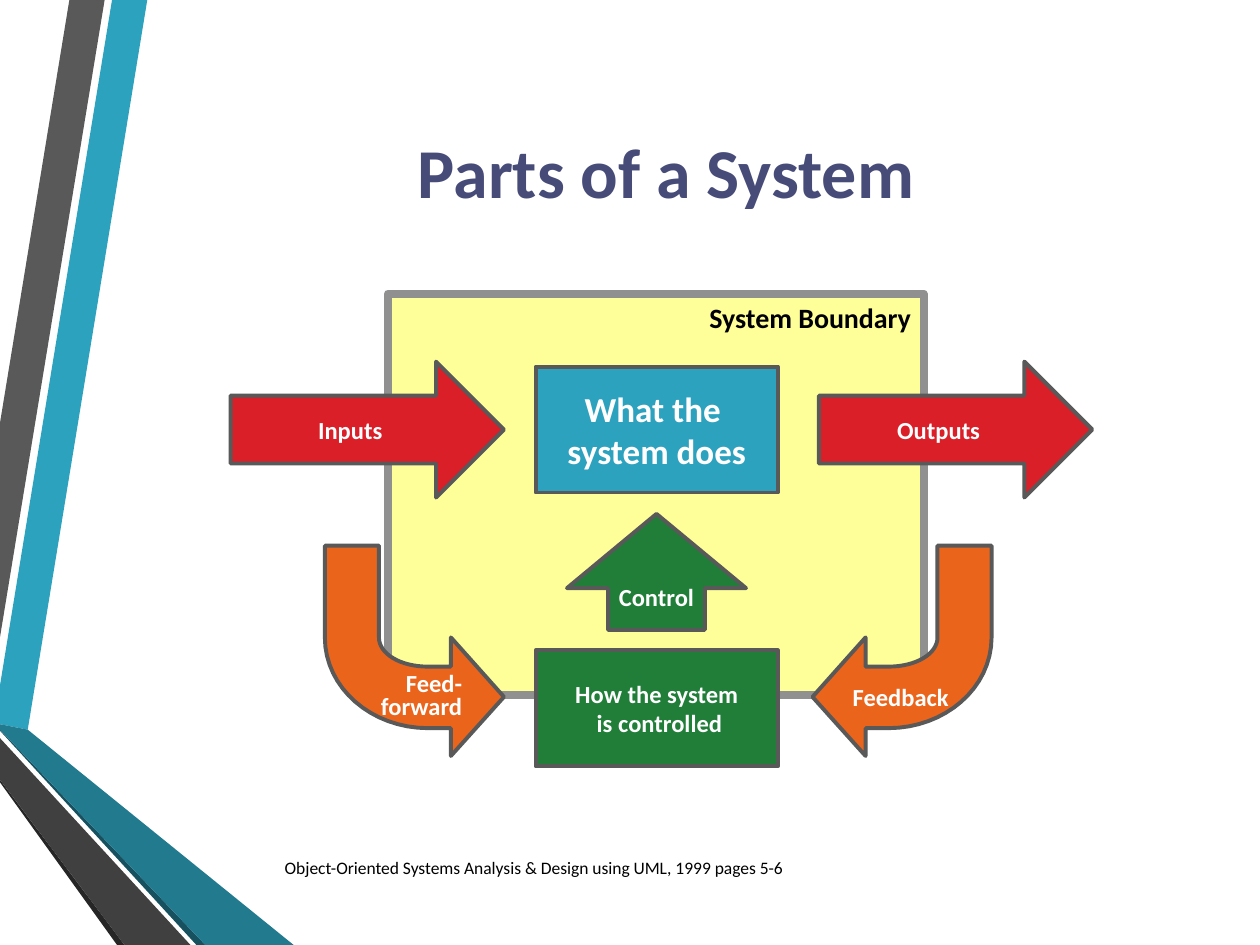
import pptx
import pptx.util
import pptx.dml.color
import pptx.enum.shapes
import pptx.enum.text

Cm = pptx.util.Cm
Pt = pptx.util.Pt
SHAPE = pptx.enum.shapes.MSO_SHAPE
ALIGN = pptx.enum.text.PP_ALIGN
ANCHOR = pptx.enum.text.MSO_ANCHOR

COLOURS = {
    "teal": "2DA2BF", "mid teal": "227A8F", "dark teal": "175160",
    "grey": "595959", "charcoal": "404040", "dark grey": "262626",
    "yellow": "FFFF99", "border": "909090", "red": "DA1F28",
    "green": "207E39", "orange": "EB641B", "title": "474B78",
    "black": "000000", "white": "FFFFFF",
}


def curve(start, control_1, control_2, end, steps=16):
    """Points along a cubic curve, without its start."""
    points = []
    for step in range(1, steps + 1):
        t = step / steps
        weights = ((1 - t) ** 3, 3 * t * (1 - t) ** 2, 3 * t * t * (1 - t), t ** 3)
        corners = (start, control_1, control_2, end)
        points.append(tuple(sum(w * c[axis] for w, c in zip(weights, corners))
                            for axis in (0, 1)))
    return points


class SlideBuilder:
    font = "Calibri"

    def __init__(self, slide):
        self.slide = slide

    def colour(self, name):
        return pptx.dml.color.RGBColor.from_string(COLOURS[name])

    def paint(self, shape, fill, line=None, line_width=2.25):
        shape.shadow.inherit = False
        shape.fill.solid()
        shape.fill.fore_color.rgb = self.colour(fill)
        if line:
            shape.line.color.rgb = self.colour(line)
            shape.line.width = Pt(line_width)
        else:
            shape.line.fill.background()

    def label(self, shape, text, size=14, colour="white", bold=True,
              align=ALIGN.CENTER, anchor=ANCHOR.MIDDLE, wrap=True,
              insets=(0.25, 0.13, 0.25, 0.13), spacing=None):
        frame = shape.text_frame
        frame.text = text
        frame.word_wrap = wrap
        frame.vertical_anchor = anchor
        (frame.margin_left, frame.margin_top,
         frame.margin_right, frame.margin_bottom) = map(Cm, insets)
        for para in frame.paragraphs:
            para.alignment = align
            para.line_spacing = spacing
            for span in para.runs:
                span.font.name = self.font
                span.font.size = Pt(size)
                span.font.bold = bold
                span.font.color.rgb = self.colour(colour)

    def text(self, place, text, **style):
        box = self.slide.shapes.add_textbox(*map(Cm, place))
        self.label(box, text, **style)

    def shape(self, kind, place, fill, text, line="grey", line_width=2.25,
              adjust=(), **style):
        shape = self.slide.shapes.add_shape(kind, *map(Cm, place))
        for index, value in enumerate(adjust):
            shape.adjustments[index] = value
        self.paint(shape, fill, line, line_width)
        self.label(shape, text, **style)

    def outline(self, points, fill, line=None):
        corners = [(Cm(x), Cm(y)) for x, y in points]
        builder = self.slide.shapes.build_freeform(*corners[0], scale=1.0)
        builder.add_line_segments(corners[1:], close=True)
        shape = builder.convert_to_shape()
        self.paint(shape, fill, line)
        return shape

    def bent_arrow(self, outer_edge, direction, text, **style):
        """Arrow going down and then inwards; direction is 1 for right, -1 for left."""
        top = 11
        points = [(3.61, 3.05), (2.54, 4.24), (2.54, 3.68), (2.08, 3.68)]
        points += curve((2.08, 3.68), (0.94, 3.68), (0, 2.87), (0, 1.85))
        points += [(0, 0), (1.09, 0), (1.09, 1.85)]
        points += curve((1.09, 1.85), (1.09, 2.18), (1.52, 2.44), (2.08, 2.44))
        points += [(2.54, 2.44), (2.54, 1.85)]
        placed = [(outer_edge + direction * x, top + y) for x, y in points]
        self.label(self.outline(placed, "orange", "grey"), text, **style)


def main():
    deck = pptx.Presentation()
    deck.slide_width, deck.slide_height = Cm(25.4), Cm(19.05)
    page = SlideBuilder(deck.slides.add_slide(deck.slide_layouts[6]))

    # Decorative bands on the left
    bands = [
        ("teal", [(0, 13.82), (0, 14.6), (0.56, 14.71), (2.97, 0), (2.26, 0)]),
        ("grey", [(2.11, 0), (1.4, 0), (0, 8.53), (0, 12.85)]),
        ("dark grey", [(0, 15.72), (0, 15.77), (2.36, 19.05), (2.51, 19.05)]),
        ("dark teal", [(0, 14.71), (0, 14.73), (3.96, 19.05), (4.14, 19.05)]),
        ("mid teal", [(0, 14.71), (4.14, 19.05), (5.92, 19.05), (0.56, 14.71),
                      (0, 14.6)]),
        ("charcoal", [(0, 15.72), (2.51, 19.05), (3.84, 19.05), (0, 14.88)]),
    ]
    for fill, points in bands:
        page.outline(points, fill)

    # System boundary
    page.shape(SHAPE.RECTANGLE, (7.82, 5.92, 10.8, 8.1), "yellow",
               "System Boundary", line="border", line_width=4.5, size=16,
               colour="black", align=ALIGN.RIGHT, anchor=ANCHOR.TOP)

    # Title and source
    page.text((2.72, 1.27, 21.41, 4.34), "Parts of a System", size=40,
              colour="title")
    page.text((5.49, 16.97, 14.76, 1.02),
              "Object-Oriented Systems Analysis & Design using UML, 1999 pages 5-6",
              size=10, colour="black", bold=False, align=ALIGN.LEFT)

    # Process with its inputs and outputs
    page.shape(SHAPE.RECTANGLE, (10.8, 7.39, 4.88, 2.54), "teal",
               "What the \nsystem does", size=20, wrap=False)
    for left, name in ((4.65, "Inputs"), (16.51, "Outputs")):
        page.shape(SHAPE.RIGHT_ARROW, (left, 7.29, 5.51, 2.74), "red", name,
                   adjust=(0.5, 0.5), wrap=False)

    # Control
    page.shape(SHAPE.UP_ARROW, (11.43, 10.36, 3.61, 2.34), "green", "Control",
               adjust=(0.54, 0.64), wrap=False, insets=(0, 0.2, 0, 0))
    page.shape(SHAPE.RECTANGLE, (10.8, 13.11, 4.88, 2.34), "green",
               "How the system\n is controlled", wrap=False)

    # Feedback and feed-forward
    page.bent_arrow(19.99, -1, "Feedback", align=ALIGN.LEFT,
                    insets=(0.81, 1.85, 0, 0))
    page.bent_arrow(6.55, 1, "Feed-\vforward", align=ALIGN.RIGHT, spacing=0.8,
                    insets=(0, 1.85, 0.84, 0))

    deck.save("out.pptx")


if __name__ == "__main__":
    main()
